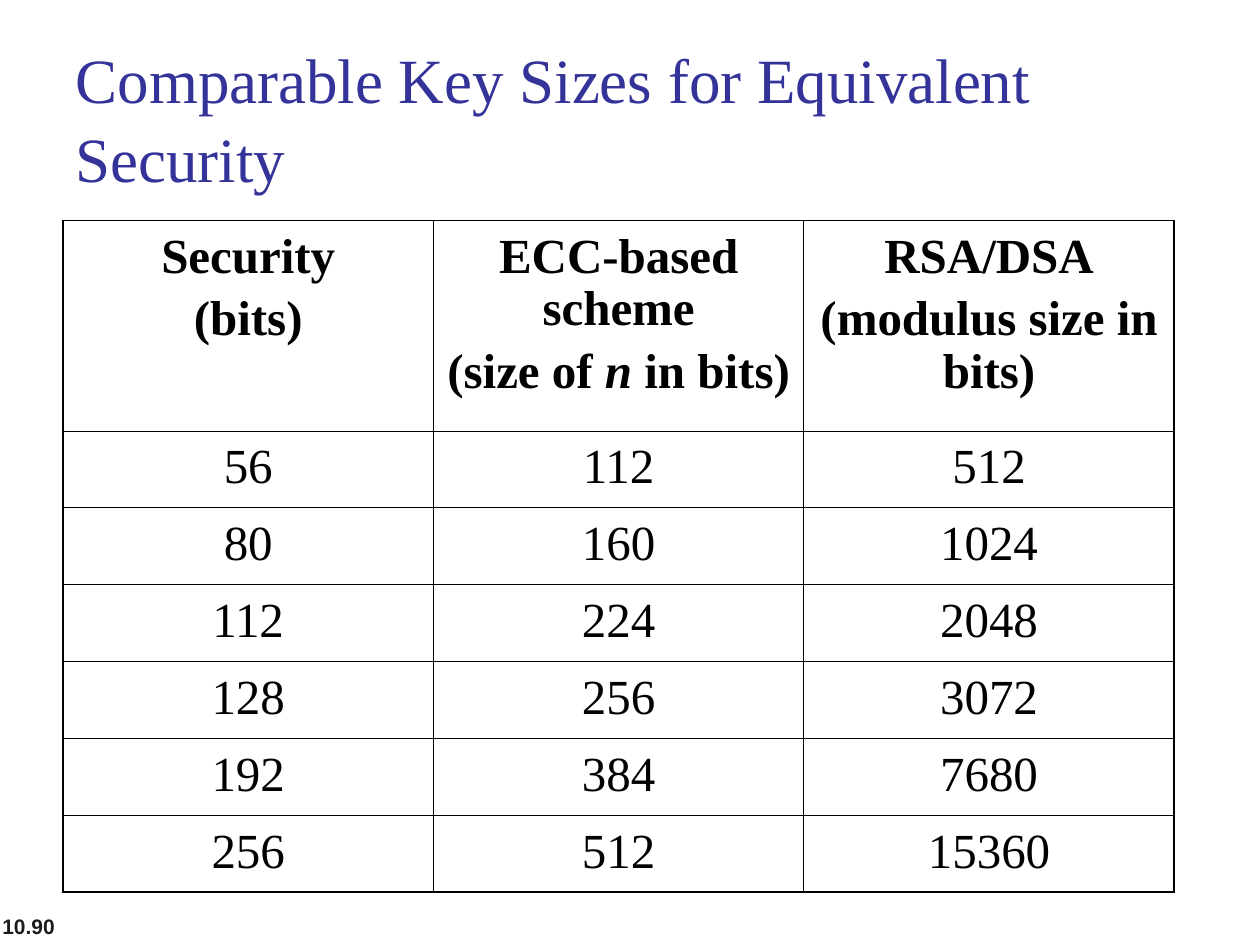
from pptx import Presentation
from pptx.dml.color import RGBColor
from pptx.enum import text
from pptx.oxml import parse_xml
from pptx.oxml.ns import nsdecls
from pptx.util import Inches, Pt

BLACK = RGBColor(0x00, 0x00, 0x00)
WHITE = RGBColor(0xFF, 0xFF, 0xFF)
INDIGO = RGBColor(0x33, 0x33, 0x99)
CHARCOAL = RGBColor(0x1C, 0x1C, 0x1C)
THIN, THICK = 0.45, 1.08


def write(p, words, font="Times New Roman", size=28, color=BLACK,
          bold=False, align=None, spacing=None):
    """Add words to a paragraph; parts between asterisks are italic."""
    p.alignment = align
    p.line_spacing = spacing
    for i, part in enumerate(words.split("*")):
        r = p.add_run()
        r.text = part
        r.font.name, r.font.size, r.font.bold = font, Pt(size), bold
        r.font.italic = i % 2 == 1
        r.font.color.rgb = color


def set_borders(cell, widths):
    tc_pr = cell._tc.get_or_add_tcPr()
    for i, (side, width) in enumerate(widths.items()):
        tc_pr.insert(i, parse_xml(
            f'<a:ln{side} {nsdecls("a")} w="{Pt(width)}"><a:solidFill>'
            f'<a:srgbClr val="{BLACK}"/></a:solidFill></a:ln{side}>'))


prs = Presentation()
prs.slide_width, prs.slide_height = Inches(10), Inches(7.5)
s = prs.slides.add_slide(prs.slide_layouts[5])

# Title
title = s.shapes.title
title.left, title.top = Inches(0.5), Inches(0.3)
title.width, title.height = Inches(9), Inches(1.25)
title.fill.solid()
title.fill.fore_color.rgb = WHITE
tf = title.text_frame
tf.auto_size = text.MSO_AUTO_SIZE.NONE
tf.vertical_anchor = text.MSO_ANCHOR.MIDDLE
write(tf.paragraphs[0], "Comparable Key Sizes for Equivalent Security",
      size=36, color=INDIGO, align=text.PP_ALIGN.LEFT, spacing=1.04)

# Key size table
rows = [
    ("Security\n(bits)", "ECC-based scheme\n(size of *n* in bits)",
     "RSA/DSA\n(modulus size in bits)"),
    ("56", "112", "512"),
    ("80", "160", "1024"),
    ("112", "224", "2048"),
    ("128", "256", "3072"),
    ("192", "384", "7680"),
    ("256", "512", "15360"),
]
n_rows, n_cols = len(rows), len(rows[0])
table = s.shapes.add_table(n_rows, n_cols, Inches(0.5), Inches(1.75),
                           Inches(8.83), Inches(5.31)).table
table.first_row = table.horz_banding = False
for column in table.columns:
    column.width = Inches(2.94)
for i, row in enumerate(rows):
    table.rows[i].height = Inches(0.61 if i else 1.67)
    for j, content in enumerate(row):
        cell = table.cell(i, j)
        cell.fill.background()
        set_borders(cell, {
            "L": THICK if j == 0 else THIN,
            "R": THICK if j == n_cols - 1 else THIN,
            "T": THICK if i == 0 else THIN,
            "B": THICK if i == n_rows - 1 else THIN})
        tf = cell.text_frame
        for k, line in enumerate(content.split("\n")):
            p = tf.add_paragraph() if k else tf.paragraphs[0]
            p.space_before = Pt(3 if k else 0)
            p.space_after = Pt(3)
            write(p, line, bold=i == 0, align=text.PP_ALIGN.CENTER,
                  spacing=0.96)
        cell.margin_top = Inches(0.09)

# Slide number
box = s.shapes.add_textbox(Inches(-0.08), Inches(7), Inches(2.08), Inches(0.5))
tf = box.text_frame
tf.word_wrap = True
tf.vertical_anchor = text.MSO_ANCHOR.BOTTOM
write(tf.paragraphs[0], "10.90", font="Arial", size=12, color=CHARCOAL, bold=True)

prs.save("out.pptx")
